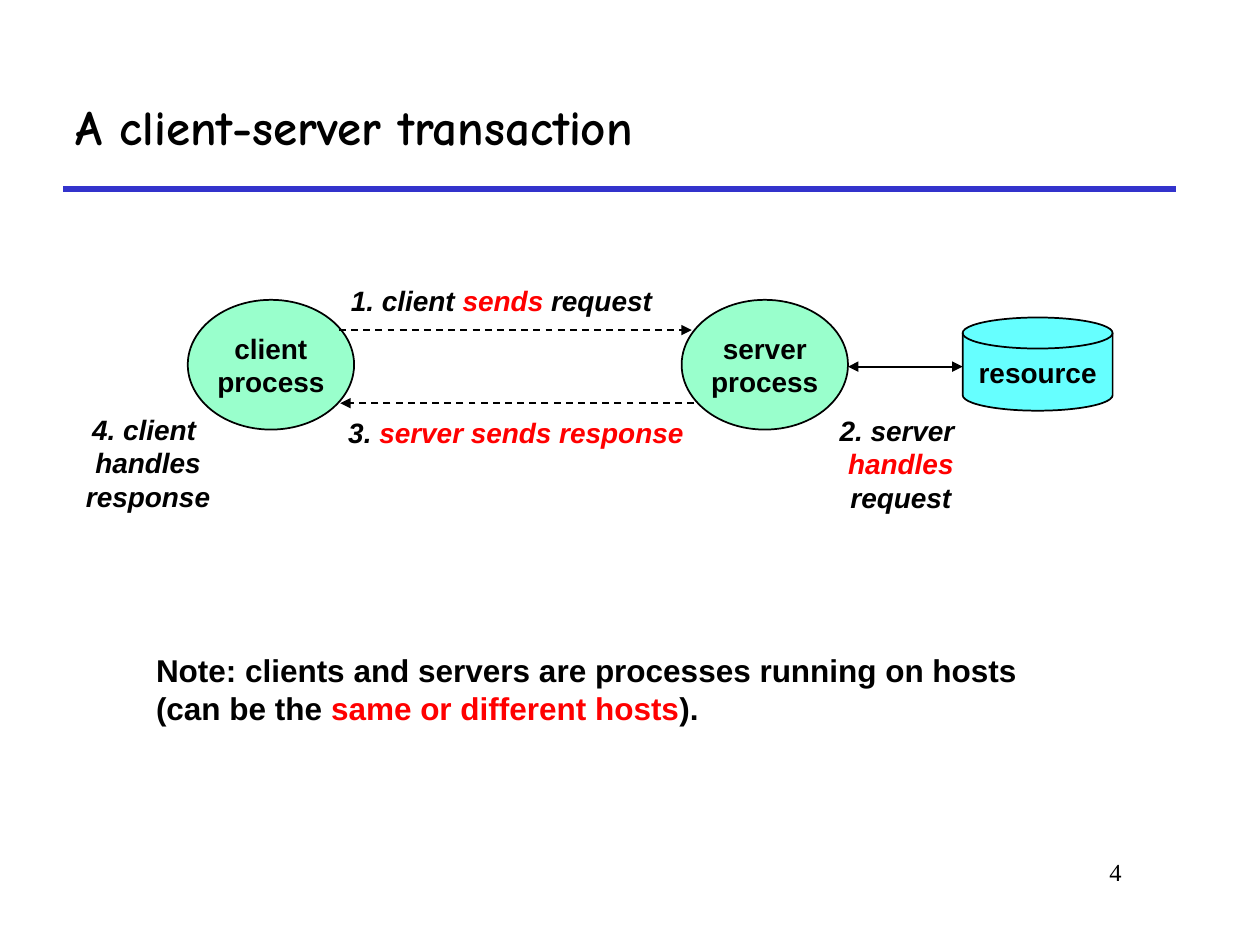
import dataclasses

import pptx
import pptx.dml.color
import pptx.enum.dml
import pptx.enum.shapes
import pptx.enum.text
import pptx.oxml.xmlchemy
import pptx.util

Inches = pptx.util.Inches
ALIGN = pptx.enum.text.PP_ALIGN
ANCHOR = pptx.enum.text.MSO_ANCHOR
AUTO_SIZE = pptx.enum.text.MSO_AUTO_SIZE
SHAPE = pptx.enum.shapes.MSO_SHAPE


@dataclasses.dataclass(frozen=True)
class Theme:
    """Colours, fonts and type sizes of the slide."""
    ink: str = "000000"
    accent: str = "FF0000"
    rule: str = "3333CC"
    process: str = "99FFCC"
    resource: str = "66FFFF"
    title: tuple = (("name", "Comic Neue"), ("size", pptx.util.Pt(28)), ("bold", True))
    node: tuple = (("name", "Arial"), ("size", pptx.util.Pt(16)), ("bold", True))
    step: tuple = node + (("italic", True),)
    note: tuple = (("name", "Arial"), ("size", pptx.util.Pt(18)), ("bold", True))
    number: tuple = (("name", "Times New Roman"), ("size", pptx.util.Pt(14)))


THEME = Theme()


def rgb(value):
    """Return the colour object for a hex value."""
    return pptx.dml.color.RGBColor.from_string(value)


def apply_format(target, values):
    """Set each named attribute of the target."""
    for name, value in dict(values).items():
        setattr(target, name, value)


def write(frame, lines, font, align, **frame_format):
    """Write lines into a frame, with parts between bars in the accent colour."""
    apply_format(frame, {"word_wrap": False, "vertical_anchor": ANCHOR.MIDDLE, **frame_format})
    for index, line in enumerate(lines):
        paragraph = frame.paragraphs[0] if index == 0 else frame.add_paragraph()
        paragraph.alignment = align
        for position, part in enumerate(line.split("|")):
            if part:
                run = paragraph.add_run()
                run.text = part
                apply_format(run.font, font)
                run.font.color.rgb = rgb(THEME.accent if position % 2 else THEME.ink)


def add_text(slide, box, lines, font, align=ALIGN.CENTER, **frame_format):
    """Add a text box at left, top, width and height in inches."""
    label = slide.shapes.add_textbox(*map(Inches, box))
    write(label.text_frame, lines, font, align, **frame_format)


def add_node(slide, kind, box, fill, lines):
    """Add an outlined shape with a centred name."""
    node = slide.shapes.add_shape(kind, *map(Inches, box))
    node.shadow.inherit = False
    node.fill.solid()
    node.fill.fore_color.rgb = rgb(fill)
    node.line.color.rgb = rgb(THEME.ink)
    node.line.width = pptx.util.Pt(1)
    write(node.text_frame, lines, THEME.node, ALIGN.CENTER)


def add_line(slide, start, end, color=THEME.ink, width=1, dashed=False, arrows=()):
    """Add a straight line with optional dashes and arrowheads."""
    link = slide.shapes.add_connector(
        pptx.enum.shapes.MSO_CONNECTOR.STRAIGHT, *map(Inches, start + end))
    link.line.color.rgb = rgb(color)
    link.line.width = pptx.util.Pt(width)
    if dashed:
        link.line.dash_style = pptx.enum.dml.MSO_LINE.DASH
    outline = link.get_or_add_ln()
    for arrow in arrows:
        tip = pptx.oxml.xmlchemy.OxmlElement(f"a:{arrow}")
        tip.set("type", "triangle")
        outline.append(tip)
    link._element.spPr.append(pptx.oxml.xmlchemy.OxmlElement("a:effectLst"))


def add_step(slide, box, lines):
    """Add the caption of one transaction step."""
    add_text(slide, box, lines, THEME.step, auto_size=AUTO_SIZE.SHAPE_TO_FIT_TEXT)


def add_transaction(slide):
    """Draw the client, server and resource with their four steps."""
    process_top, process_width, process_height = 2.38, 1.32, 1.03
    client_left, server_left, resource_left = 1.49, 5.41, 7.64
    middle = 2.91

    add_node(slide, SHAPE.OVAL, (client_left, process_top, process_width, process_height),
             THEME.process, ["client", "process"])
    add_line(slide, (2.69, 2.62), (5.49, 2.62), dashed=True, arrows=["tailEnd"])
    add_node(slide, SHAPE.OVAL, (server_left, process_top, process_width, process_height),
             THEME.process, ["server", "process"])
    add_step(slide, (2.68, 2.2, 2.6, 0.37), ["1. client |sends| request"])
    add_step(slide, (6.56, 3.23, 1.18, 0.9), ["2. server ", "|handles|", "request"])
    add_line(slide, (5.51, 3.2), (2.7, 3.2), dashed=True, arrows=["tailEnd"])
    add_step(slide, (2.66, 3.25, 2.87, 0.37), ["3. |server sends response|"])
    add_step(slide, (0.58, 3.22, 1.19, 0.9), ["4. client ", "handles", "response"])
    add_line(slide, (server_left + process_width, middle), (resource_left, middle),
             arrows=["headEnd", "tailEnd"])
    add_node(slide, SHAPE.FLOWCHART_MAGNETIC_DISK, (resource_left, 2.52, 1.19, 0.74),
             THEME.resource, ["resource"])


def main():
    """Build and save the slide."""
    deck = pptx.Presentation()
    deck.slide_width, deck.slide_height = Inches(10), Inches(7.5)
    slide = deck.slides.add_slide(deck.slide_layouts[6])

    add_line(slide, (0.5, 1.5), (9.33, 1.5), THEME.rule, 3)
    add_text(slide, (7.58, 6.75, 1.42, 0.5), ["4"], THEME.number, ALIGN.RIGHT,
             word_wrap=True, vertical_anchor=ANCHOR.TOP)
    add_text(slide, (0.5, 0.5, 8.83, 1), ["A client-server transaction"], THEME.title,
             ALIGN.LEFT, word_wrap=True)
    add_transaction(slide)
    add_text(slide, (1.14, 5.12, 7.1, 0.7),
             ["Note: clients and servers are processes running on hosts",
              "(can be the |same or different hosts|)."],
             THEME.note, ALIGN.LEFT, vertical_anchor=ANCHOR.TOP,
             auto_size=AUTO_SIZE.SHAPE_TO_FIT_TEXT)
    deck.save("out.pptx")


if __name__ == "__main__":
    main()
